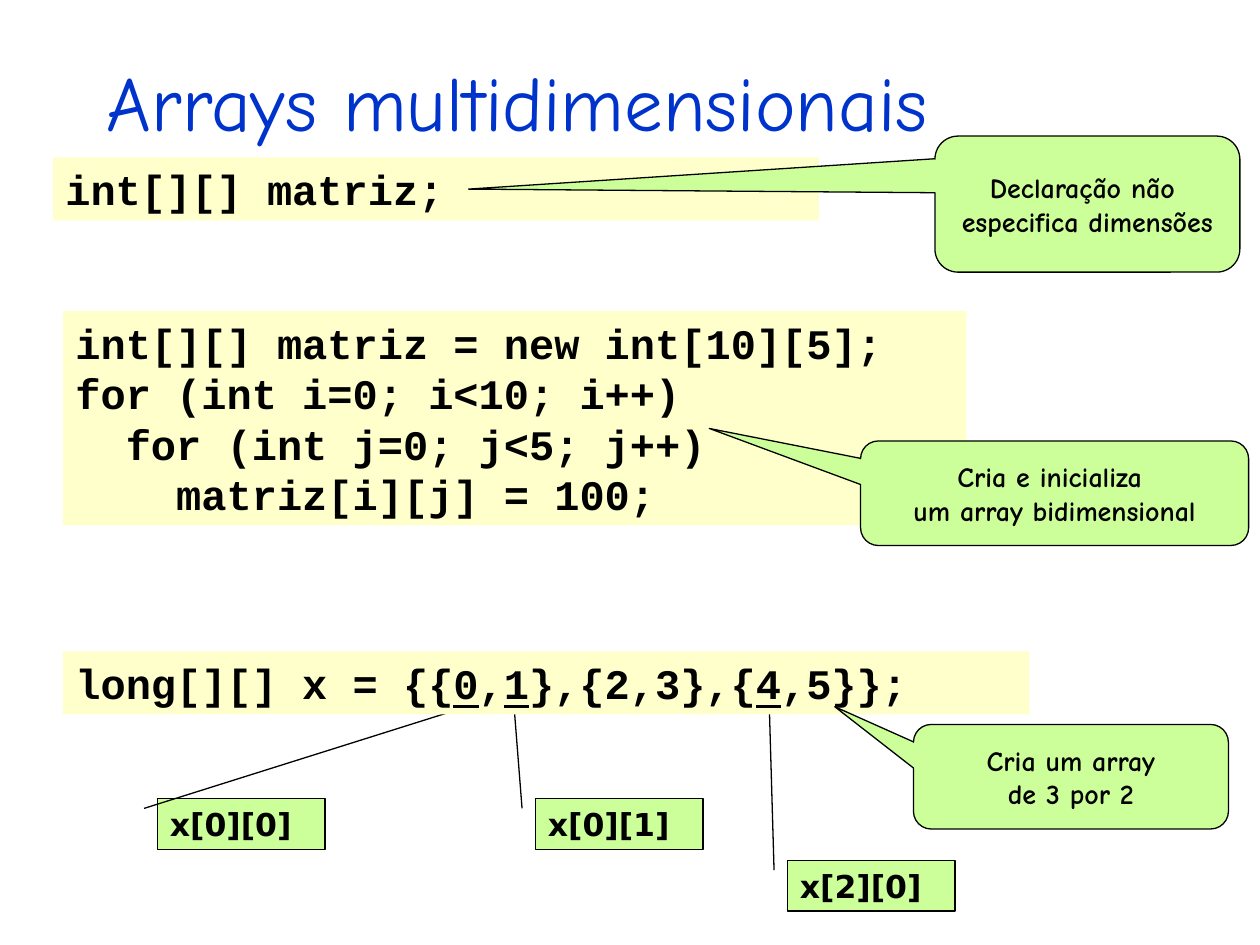
from dataclasses import dataclass

from pptx import Presentation
from pptx import util as u
from pptx.dml.color import RGBColor
from pptx.enum import shapes, text

BLACK, BLUE, GREEN, YELLOW = "000000", "0033CC", "CCFF99", "FFFFCC"
TITLE = {"name": "Comic Neue", "size": u.Pt(44)}
CODE = {"name": "Courier New", "size": u.Pt(24), "bold": True}
LABEL = {"name": "DejaVu Sans", "size": u.Pt(18), "bold": True}
NOTE = {"name": "Comic Neue", "size": u.Pt(16), "bold": True}


@dataclass
class Item:
    """A box in inches; adjust holds the callout's pointer geometry."""
    words: str
    left: float
    top: float
    width: float
    height: float
    adjust: tuple[float, ...] = ()


def colour(value: str) -> RGBColor:
    return RGBColor.from_string(value)


def place(item: Item) -> list[u.Length]:
    return [u.Inches(n) for n in (item.left, item.top, item.width, item.height)]


def write(box, words: str, style: dict, ink: str = BLACK,
          align=text.PP_ALIGN.LEFT, anchor=text.MSO_ANCHOR.TOP,
          wrap: bool = True, size=text.MSO_AUTO_SIZE.NONE) -> None:
    """Fill a box with text; parts between underscores are underlined."""
    frame = box.text_frame
    frame.word_wrap, frame.auto_size, frame.vertical_anchor = wrap, size, anchor
    for index, line in enumerate(words.split("\n")):
        para = frame.add_paragraph() if index else frame.paragraphs[0]
        para.alignment = align
        for number, part in enumerate(line.split("_")):
            for row, piece in enumerate(part.split("\v")):
                if row:
                    para.add_line_break()
                span = para.add_run()
                span.text = piece
                for key, value in style.items():
                    setattr(span.font, key, value)
                span.font.underline = number % 2 == 1
                span.font.color.rgb = colour(ink)


def draw(page, kind, item: Item, fill: str, outlined: bool):
    box = page.shapes.add_shape(kind, *place(item))
    box.shadow.inherit = False
    box.fill.solid()
    box.fill.fore_color.rgb = colour(fill)
    if outlined:
        box.line.color.rgb = colour(BLACK)
        box.line.width = u.Pt(0.75)
    else:
        box.line.fill.background()
    for index, value in enumerate(item.adjust):
        box.adjustments[index] = value
    return box


def draw_label(page, item: Item) -> None:
    box = draw(page, shapes.MSO_SHAPE.LINE_CALLOUT_1, item, GREEN, True)
    write(box, item.words, LABEL, size=text.MSO_AUTO_SIZE.SHAPE_TO_FIT_TEXT)


def draw_code(page, item: Item) -> None:
    box = draw(page, shapes.MSO_SHAPE.RECTANGLE, item, YELLOW, False)
    write(box, item.words, CODE, size=text.MSO_AUTO_SIZE.SHAPE_TO_FIT_TEXT)


def draw_note(page, item: Item) -> None:
    box = draw(page, shapes.MSO_SHAPE.ROUNDED_RECTANGULAR_CALLOUT, item, GREEN, True)
    write(box, item.words, NOTE, align=text.PP_ALIGN.CENTER,
          anchor=text.MSO_ANCHOR.MIDDLE, wrap=False)


LABELS = [
    Item("x[0][0]", 1.25, 6.34, 1.33, 0.4, (0.19, -0.08, -1.81, 1.83)),
    Item("x[0][1]", 4.25, 6.34, 1.33, 0.4, (0.19, -0.08, -1.93, -0.13)),
    Item("x[2][0]", 6.25, 6.83, 1.33, 0.4, (0.19, -0.08, -3.23, -0.11)),
]
CODES = [
    Item("int[][] matriz;", 0.42, 1.25, 6.08, 0.5),
    Item("int[][] matriz = new int[10][5];\n"
         "for (int i=0; i<10; i++)\n"
         "  for (int j=0; j<5; j++)\n"
         "    matriz[i][j] = 100;", 0.5, 2.47, 7.17, 1.7),
    Item("long[][] x = {{_0_,_1_},{2,3},{_4_,5}};", 0.5, 5.17, 7.67, 0.5),
]
NOTES = [
    Item("Declaração não \vespecifica dimensões", 7.42, 1.08, 2.42, 1.08,
         (-2.03, -0.11, 0.17)),
    Item("Cria e inicializa \vum array bidimensional", 6.83, 3.5, 3.08, 0.83,
         (-0.89, -0.62, 0.17)),
    Item("Cria um array\vde 3 por 2", 7.25, 5.75, 2.5, 0.83,
         (-0.75, -0.67, 0.17)),
]


def main() -> None:
    deck = Presentation()
    deck.slide_width, deck.slide_height = u.Inches(10), u.Inches(7.5)
    page = deck.slides.add_slide(deck.slide_layouts[6])

    # Title
    title = Item("Arrays multidimensionais", 0.75, 0.17, 8.5, 1.25)
    write(page.shapes.add_textbox(*place(title)), title.words, TITLE, BLUE,
          anchor=text.MSO_ANCHOR.MIDDLE)

    # Element labels go behind the code, so their pointers end at its edge
    for item in LABELS:
        draw_label(page, item)

    # Code samples
    for item in CODES:
        draw_code(page, item)

    # Explanations
    for item in NOTES:
        draw_note(page, item)

    deck.save("out.pptx")


if __name__ == "__main__":
    main()
